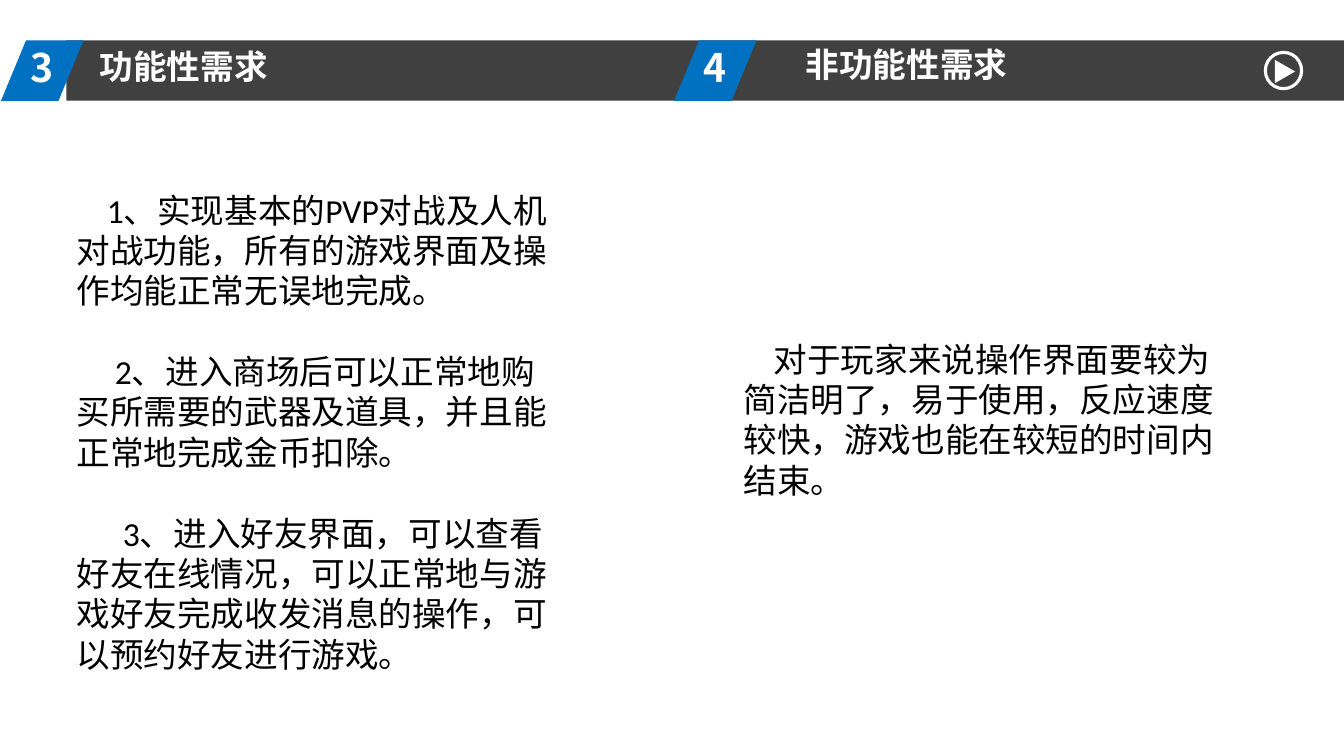
from pptx import Presentation
from pptx import util as u
from pptx.dml.color import RGBColor
from pptx.enum import lang, shapes, text
from pptx.oxml.ns import qn

COLORS = {"bar": "404040", "accent": "0070C0", "light": "FFFFFF", "ink": "000000"}
HEADING_FONT = "Noto Sans CJK SC"
BODY_FONT = "Calibri"

FUNCTIONAL = [
    "1、实现基本的PVP对战及人机对战功能，所有的游戏界面及操作均能正常无误地完成。",
    "2、进入商场后可以正常地购买所需要的武器及道具，并且能正常地完成金币扣除。",
    "3、进入好友界面，可以查看好友在线情况，可以正常地与游戏好友完成收发消息的操作，可以预约好友进行游戏。",
]
NON_FUNCTIONAL = [
    "对于玩家来说操作界面要较为简洁明了，易于使用，反应速度较快，游戏也能在较短的时间内结束。",
]


def place(shape, box):
    shape.left, shape.top, shape.width, shape.height = (u.Inches(v) for v in box)


def add_figure(parent, kind, box, fill=None, line=None):
    figure = parent.shapes.add_shape(kind, *(u.Inches(v) for v in box))
    figure.shadow.inherit = False
    if fill:
        figure.fill.solid()
        figure.fill.fore_color.rgb = RGBColor.from_string(COLORS[fill])
    else:
        figure.fill.background()
    if line:
        figure.line.color.rgb = RGBColor.from_string(COLORS[line])
        figure.line.width = u.Pt(2.25)
    else:
        figure.line.fill.background()
    return figure


def write(shape, lines, box, size=24, font=BODY_FONT, color="ink", bold=False,
          gap=0, indent=0.0, indent_step=0.0):
    """Fill a text shape; each paragraph's first line goes in one step further."""
    place(shape, box)
    shape._element.getparent().append(shape._element)  # bring to front
    frame = shape.text_frame
    frame.word_wrap = True
    frame.auto_size = text.MSO_AUTO_SIZE.NONE
    frame.vertical_anchor = text.MSO_ANCHOR.TOP
    for index, line in enumerate(lines):
        para = frame.paragraphs[0] if index == 0 else frame.add_paragraph()
        para.alignment = text.PP_ALIGN.LEFT
        para.space_before = u.Pt(gap if index else 0)
        props = para._p.get_or_add_pPr()
        props.set("marL", "0")
        props.set("indent", str(u.Inches(indent + index * indent_step)))
        props.append(props.makeelement(qn("a:buNone"), {}))
        span = para.add_run()
        span.text = line
        span.font.size = u.Pt(size)
        span.font.bold = bold
        span.font.name = font
        span.font.language_id = lang.MSO_LANGUAGE_ID.SIMPLIFIED_CHINESE
        span.font.color.rgb = RGBColor.from_string(COLORS[color])
        if font == HEADING_FONT:
            latin = span.font._element.find(qn("a:latin"))
            latin.addnext(latin.makeelement(qn("a:ea"), {"typeface": font}))


def add_heading(page, box, number, title, title_shape, title_offset):
    """Slanted number tab with its section title to the right."""
    left, top, width, height = box
    tab = add_figure(page, shapes.MSO_SHAPE.PARALLELOGRAM, box, fill="accent")
    tab.adjustments[0] = 0.415
    style = dict(font=HEADING_FONT, color="light", bold=True)
    number_box = page.shapes.add_textbox(0, 0, 0, 0)
    write(number_box, [number], (left + 0.19, top - 0.02, 0.69, 0.57), size=28, **style)
    write(title_shape, [title],
          (left + title_offset[0], top + title_offset[1], 2.74, 0.5), **style)


def add_play_icon(page, box):
    """Ring with a triangle pointing right."""
    left, top, size, _ = box
    icon = page.shapes.add_group_shape()
    add_figure(icon, shapes.MSO_SHAPE.OVAL, box, line="light")
    arrow = add_figure(icon, shapes.MSO_SHAPE.ISOSCELES_TRIANGLE,
                       (left + 0.08, top + 0.09, 0.23, 0.2), fill="light")
    arrow.rotation = 90


def build_requirements(deck):
    page = deck.slides.add_slide(deck.slide_layouts[3])
    title, left_body, right_body = page.placeholders

    # Header band
    add_figure(page, shapes.MSO_SHAPE.RECTANGLE, (0.66, 0.4, 12.68, 0.6), fill="bar")
    add_heading(page, (0.01, 0.4, 0.82, 0.6), "3", "功能性需求", title, (0.88, 0.01))
    add_heading(page, (6.69, 0.4, 0.82, 0.6), "4", "非功能性需求",
                page.shapes.add_textbox(0, 0, 0, 0), (1.21, -0.01))
    add_play_icon(page, (12.56, 0.52, 0.36, 0.36))

    # Requirement texts
    write(left_body, FUNCTIONAL, (0.66, 1.83, 4.88, 4.9),
          gap=29, indent=0.3, indent_step=0.08)
    write(right_body, NON_FUNCTIONAL, (7.28, 3.31, 4.88, 1.7), indent=0.3)


def main():
    deck = Presentation()
    deck.slide_width, deck.slide_height = u.Inches(13.34), u.Inches(7.5)
    build_requirements(deck)
    deck.save("out.pptx")


if __name__ == "__main__":
    main()
